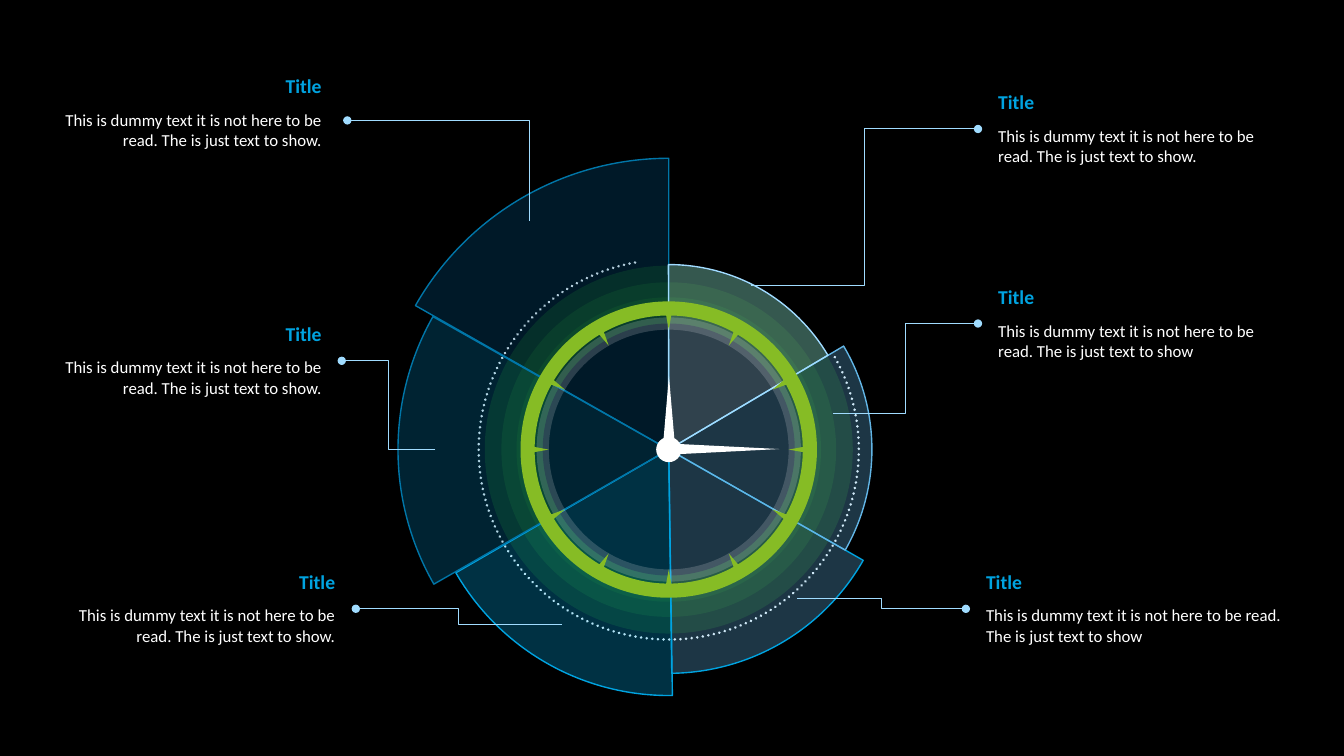
from math import atan, cos, degrees, hypot, radians, sin, tan
from lxml.etree import SubElement
from pptx import Presentation
from pptx.dml.color import RGBColor
from pptx.enum.dml import MSO_LINE
from pptx.enum.shapes import MSO_CONNECTOR, MSO_SHAPE
from pptx.enum.text import MSO_AUTO_SIZE, PP_ALIGN
from pptx.oxml.ns import qn
from pptx.util import Inches, Pt

CELL = Inches(0.1)
CENTRE = (66.33, 44.6)
SKY, CYAN, WHITE, BLACK, LIME, FOREST = (
    "A0DCFF", "00A3E0", "FFFFFF", "000000", "86BC25", "1C670A")
SENTENCE = "This is dummy text it is not here to be read. The is just text to show"

GLOW_DISCS = [
    (18.25, FOREST, 30), (16.6, FOREST, 30), (15.1, FOREST, 30),
    (13.7, BLACK, 20), (12.5, BLACK, 100),
]
SECTORS = [
    (22.2, 29.67, 89.22, "62B5E5", CYAN),
    (20.15, 329.4, 29.7, "62B5E5", "62B5E5"),
    (24.4, 89.15, 149.93, CYAN, CYAN),
    (26.85, 150.17, 209.42, "0076A8", "0076A8"),
    (28.9, 209.62, 270, "005587", "0076A8"),
    (18.35, 269.91, 329.35, SKY, SKY),
]
CALLOUTS = [
    ((97, 8.75), 29.5, ".", (74.5, 28.3), (97, 12.8), 0.5),
    ((97, 28.05), 31.3, "", (82.6, 41), (97, 32.1), 0.5),
    ((95.8, 56.3), 32.4, "", (79.1, 59.4), (95.8, 60.4), 0.5),
    ((4.45, 56.3), 30.8, ".", (55.75, 62), (35.3, 60.4), 0.5),
    ((4.4, 31.7), 29.5, ".", (43.2, 44.6), (33.9, 35.8), 0.5),
    ((4.4, 7.15), 29.5, ".", (52.55, 21.9), (34.45, 11.95), 0),
]


def cells(*counts):
    return [round(count * CELL) for count in counts]


def colour(hex_text):
    return RGBColor.from_string(hex_text)


def set_opacity(shape, location, percent):
    for element in shape.element.xpath(location):
        SubElement(element, qn("a:alpha"), val=str(percent * 1000))


def style(shape, fill=None, opacity=100, line=None, width=1, line_opacity=100):
    shape.shadow.inherit = False
    if fill:
        shape.fill.solid()
        shape.fill.fore_color.rgb = colour(fill)
        if opacity < 100:
            set_opacity(shape, "p:spPr/a:solidFill/a:srgbClr", opacity)
    else:
        shape.fill.background()
    if line:
        shape.line.color.rgb = colour(line)
        shape.line.width = Pt(width)
        if line_opacity < 100:
            set_opacity(shape, "p:spPr/a:ln//a:srgbClr", line_opacity)
    else:
        shape.line.fill.background()
    return shape


def add_round(slide, kind, radius, start=None, end=None, **look):
    x, y = CENTRE
    shape = slide.shapes.add_shape(
        kind, *cells(x - radius, y - radius, 2 * radius, 2 * radius))
    if start is not None:
        for index, angle in enumerate((start, end)):
            shape.adjustments[index] = angle * 0.6
    return style(shape, **look)


def add_hand(slide, left, top, length, rotation):
    shape = slide.shapes.add_shape(
        MSO_SHAPE.ISOSCELES_TRIANGLE, *cells(left, top, 1.1, length))
    shape.rotation = rotation
    style(shape, WHITE)


def polar(radius, angle):
    x, y = CENTRE
    return tuple(cells(x + radius * cos(radians(angle)),
                       y + radius * sin(radians(angle))))


def bend_segment(segment, shape, radius, start, end):
    reach = 4 / 3 * tan(radians(end - start) / 4)
    lean = degrees(atan(reach))
    target = segment[0]
    segment.tag = qn("a:cubicBezTo")
    for angle in (start + lean, end - lean):
        x, y = polar(hypot(radius, radius * reach), angle)
        SubElement(segment, qn("a:pt"), x=str(x - shape.left), y=str(y - shape.top))
    segment.append(target)


def add_toothed_ring(slide, outer=14.7, inner=13.3, tip=11.9, half_tooth=1.1):
    rim = [(outer, angle) for angle in range(0, 361, 90)]
    teeth = []
    for hour in range(360, 0, -30):
        teeth += [(inner, hour + half_tooth), (tip, hour), (inner, hour - half_tooth)]
    teeth.append((inner, half_tooth))
    builder = slide.shapes.build_freeform(*polar(*rim[0]), scale=1.0)
    builder.add_line_segments([polar(*point) for point in rim[1:]], close=True)
    builder.move_to(*polar(*teeth[0]))
    builder.add_line_segments([polar(*point) for point in teeth[1:]], close=True)
    ring = style(builder.convert_to_shape(), LIME)
    steps = list(zip(rim, rim[1:])) + list(zip(teeth, teeth[1:]))
    for segment, (begin, end) in zip(ring.element.xpath(".//a:lnTo"), steps):
        if begin[0] == end[0]:
            bend_segment(segment, ring, begin[0], begin[1], end[1])


def add_clock(slide):
    dotted = add_round(slide, MSO_SHAPE.ARC, 18.85, 280.21, 210.12,
                       line=WHITE, width=2)
    dotted.line.dash_style = MSO_LINE.ROUND_DOT
    dotted.element.spPr.find(qn("a:ln")).set("cap", "rnd")
    dotted.element.spPr.xfrm.set("flipH", "1")
    for radius, fill, opacity in GLOW_DISCS:
        add_round(slide, MSO_SHAPE.OVAL, radius, fill=fill, opacity=opacity)
    for radius, start, end, fill, line in SECTORS:
        add_round(slide, MSO_SHAPE.PIE, radius, start, end,
                  fill=fill, opacity=30, line=line)
    add_hand(slide, 71.3, 39.1, 10.9, 90)
    add_round(slide, MSO_SHAPE.OVAL, 12.5, line=WHITE, width=8.75, line_opacity=16)
    add_hand(slide, 65.8, 37.3, 6.4, 0)
    add_toothed_ring(slide)
    add_round(slide, MSO_SHAPE.OVAL, 1.25, fill=WHITE)


def add_leader(slide, start, end, bend):
    leader = slide.shapes.add_connector(
        MSO_CONNECTOR.ELBOW, *cells(*start, *end))
    leader.line.color.rgb = colour(SKY)
    leader.line.width = Pt(0.75)
    properties = leader.element.spPr
    SubElement(properties.find(qn("a:ln")), qn("a:tailEnd"), type="oval")
    SubElement(properties, qn("a:effectLst"))
    guides = properties.find(qn("a:prstGeom")).find(qn("a:avLst"))
    SubElement(guides, qn("a:gd"), name="adj1", fmla=f"val {round(bend * 100000)}")


def add_callout(slide, corner, width, ending, start, tip, bend):
    on_left = corner[0] < CENTRE[0]
    frame = slide.shapes.add_textbox(*cells(*corner, width, 8.2)).text_frame
    frame.word_wrap = True
    frame.auto_size = MSO_AUTO_SIZE.SHAPE_TO_FIT_TEXT
    frame.margin_left, frame.margin_right = cells(
        *((0.5, 2) if on_left else (2, 0.5)))
    frame.margin_top = frame.margin_bottom = Inches(0.02)
    heading, body = frame.paragraphs[0], frame.add_paragraph()
    heading.space_after = Pt(3)
    body.space_before = Pt(5.6)
    for paragraph, text, size, hex_text in (
            (heading, "Title", 14, CYAN), (body, SENTENCE + ending, 12, WHITE)):
        paragraph.text = text
        paragraph.alignment = PP_ALIGN.RIGHT if on_left else PP_ALIGN.LEFT
        paragraph.font.name = "Calibri"
        paragraph.font.size = Pt(size)
        paragraph.font.bold = paragraph is heading
        paragraph.font.color.rgb = colour(hex_text)
    add_leader(slide, start, tip, bend)


def main():
    presentation = Presentation()
    presentation.slide_width, presentation.slide_height = Inches(13.33), Inches(7.5)
    slide = presentation.slides.add_slide(presentation.slide_layouts[6])
    slide.background.fill.solid()
    slide.background.fill.fore_color.rgb = colour(BLACK)
    add_clock(slide)
    for callout in CALLOUTS:
        add_callout(slide, *callout)
    presentation.save("out.pptx")


if __name__ == "__main__":
    main()
